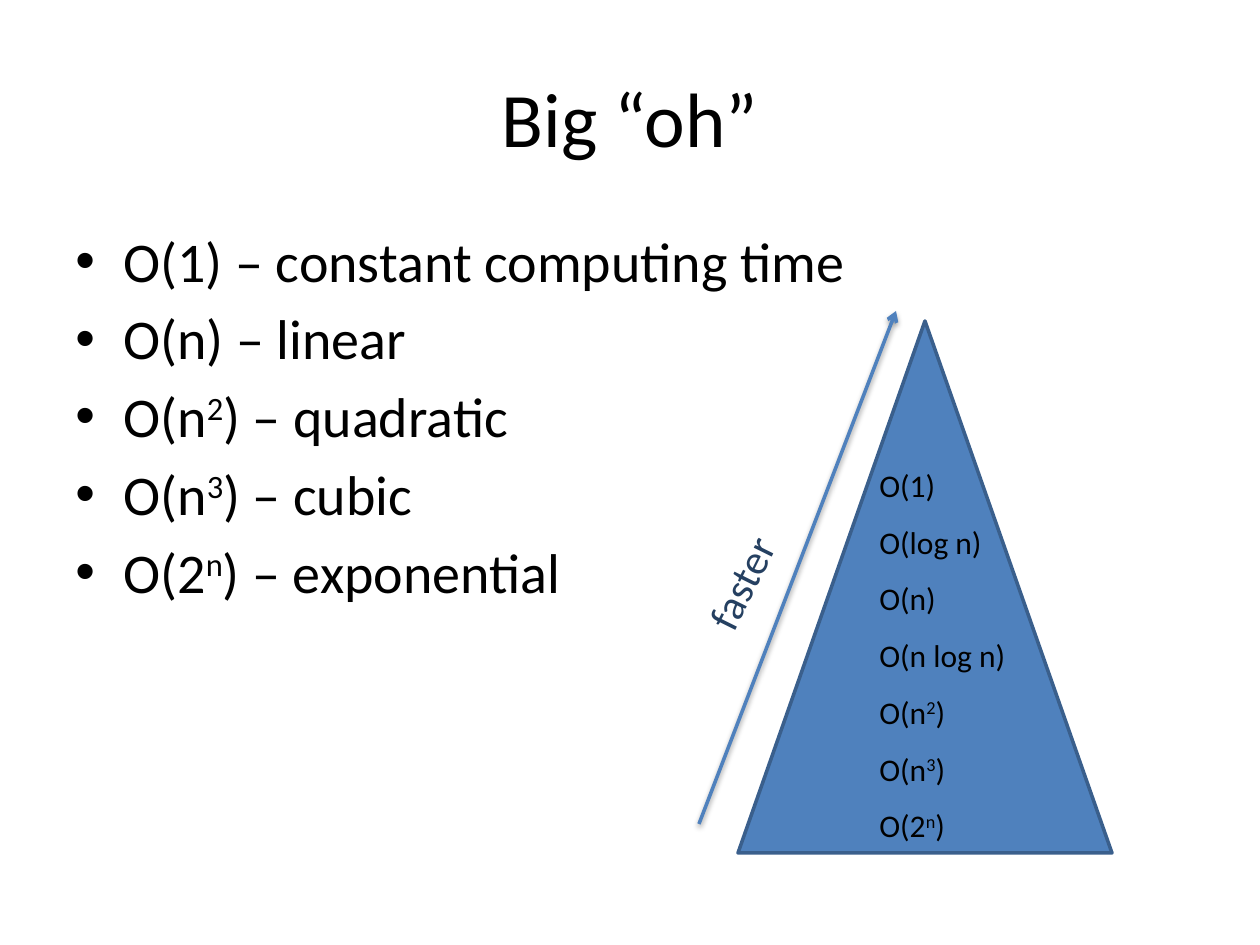
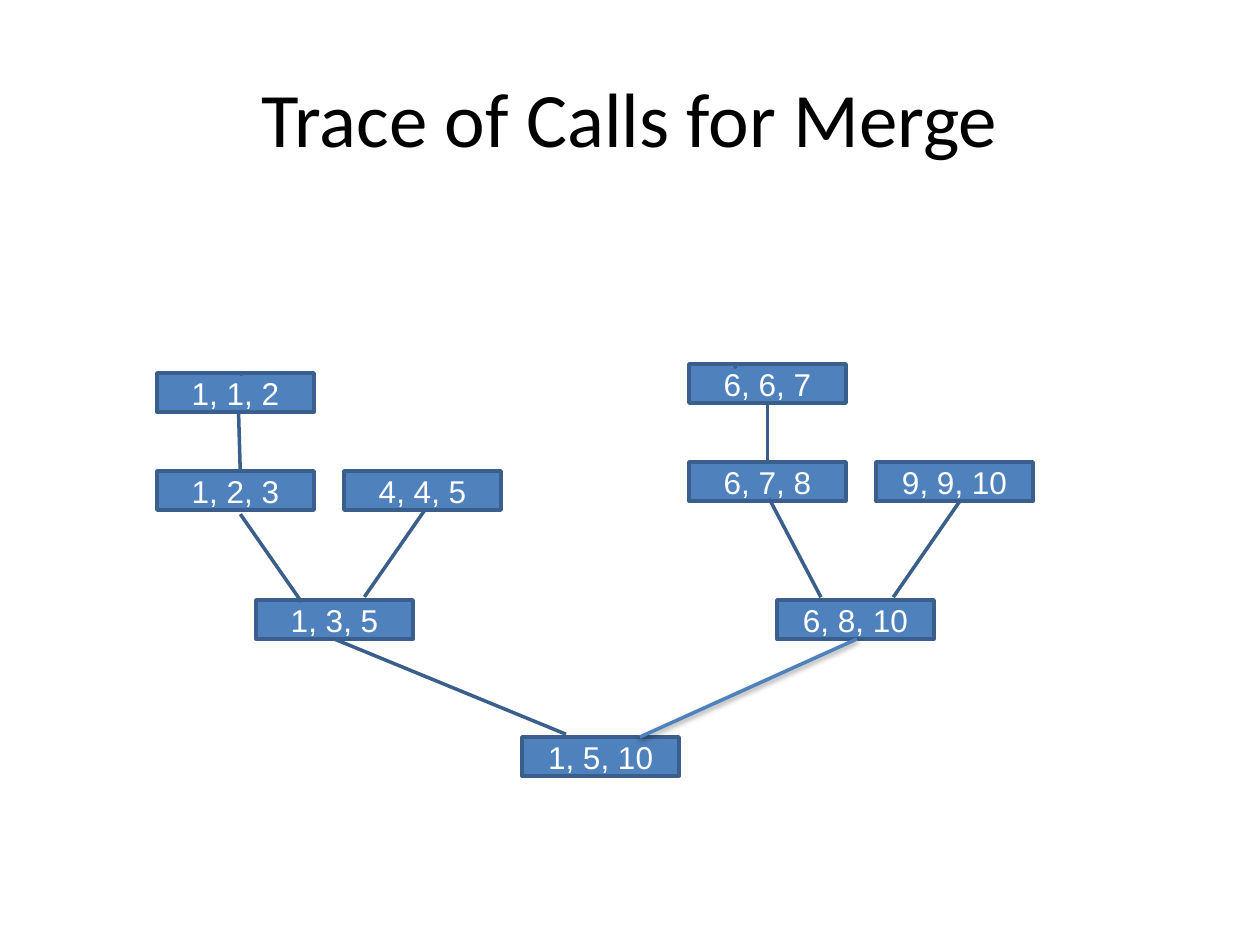
from pptx import Presentation
from pptx import util as u
from pptx.dml.color import RGBColor
from pptx.enum import shapes, text
from pptx.oxml.ns import qn
from lxml import etree

PX = 914400 / 126  # EMU in one px
BLUE, EDGE, NAVY = "4F81BD", "3A5F8C", "254061"
BLACK, WHITE = "000000", "FFFFFF"
BOX_W, BOX_H = 157, 39


def px(*lengths):
    return [u.Emu(round(n * PX)) for n in lengths]


def rgb(hex_color):
    return RGBColor.from_string(hex_color)


def style_font(font, size, color, name="Calibri"):
    font.size, font.name = u.Pt(size), name
    font.color.rgb = rgb(color)


def add_title_slide(prs, title):
    s = prs.slides.add_slide(prs.slide_layouts[5])
    sp = s.shapes.title
    sp.left, sp.top, sp.width, sp.height = px(63, 38, 1134, 157)
    tf = sp.text_frame
    tf.text = title
    tf.vertical_anchor = text.MSO_ANCHOR.MIDDLE
    p = tf.paragraphs[0]
    p.alignment = text.PP_ALIGN.CENTER
    style_font(p.runs[0].font, 44, BLACK)
    return s


def write_powers(p, line, size, color):
    """Write a line in which ^ raises the one character after it."""
    base, *powers = line.split("^")
    pieces = [(base, False)]
    for piece in powers:
        pieces += [(piece[0], True), (piece[1:], False)]
    for piece, raised in pieces:
        r = p.add_run()
        r.text = piece
        style_font(r.font, size, color)
        if raised:
            r._r.get_or_add_rPr().set("baseline", "30000")


def add_text(s, box, lines, size, color=BLACK, wrap=False, spacing=None):
    sp = s.shapes.add_textbox(*px(*box))
    tf = sp.text_frame
    tf.word_wrap = wrap
    for i, line in enumerate(lines):
        p = tf.add_paragraph() if i else tf.paragraphs[0]
        write_powers(p, line, size, color)
        if spacing:
            p.line_spacing = spacing
    return sp


def add_bullets(sp, indent, space_before):
    for p in sp.text_frame.paragraphs:
        p.space_before = u.Pt(space_before)
        pPr = p._p.get_or_add_pPr()
        pPr.set("marL", str(u.Inches(indent)))
        pPr.set("indent", str(-u.Inches(indent)))
        etree.SubElement(pPr, qn("a:buFont")).set("typeface", "Arial")
        etree.SubElement(pPr, qn("a:buChar")).set("char", "•")


def add_blue_shape(s, kind, box):
    sp = s.shapes.add_shape(kind, *px(*box))
    sp.shadow.inherit = False
    sp.fill.solid()
    sp.fill.fore_color.rgb = rgb(BLUE)
    sp.line.color.rgb = rgb(EDGE)
    sp.line.width = u.Pt(2)
    return sp


def add_call(s, left, top, label, leader):
    """Add a call box; leader holds y, x of both line ends as box fractions."""
    sp = add_blue_shape(s, shapes.MSO_SHAPE.LINE_CALLOUT_1, (left, top, BOX_W, BOX_H))
    for i, value in enumerate(leader):
        sp.adjustments[i] = value
    tf = sp.text_frame
    tf.text = label
    tf.vertical_anchor = text.MSO_ANCHOR.MIDDLE
    p = tf.paragraphs[0]
    p.alignment = text.PP_ALIGN.CENTER
    style_font(p.runs[0].font, 18, WHITE, "Arial")


def add_line(s, start, end, arrow=False):
    # The theme's soft shadow is kept on lines
    cn = s.shapes.add_connector(shapes.MSO_CONNECTOR.STRAIGHT, *px(*start, *end))
    cn.line.color.rgb = rgb(BLUE)
    cn.line.width = u.Pt(2)
    if arrow:
        ln = cn.line._get_or_add_ln()
        etree.SubElement(ln, qn("a:tailEnd")).set("type", "arrow")


def build_big_oh(prs):
    s = add_title_slide(prs, "Big “oh”")
    classes = ["O(1) – constant computing time", "O(n) – linear",
               "O(n^2) – quadratic", "O(n^3) – cubic", "O(2^n) – exponential"]
    body = add_text(s, (63, 220, 1134, 624), classes, 32, wrap=True)
    add_bullets(body, 0.38, 6)

    # Speed pyramid
    add_blue_shape(s, shapes.MSO_SHAPE.ISOSCELES_TRIANGLE, (738, 321, 374, 532))
    add_line(s, (699, 824), (896, 311), arrow=True)
    faster = add_text(s, (677, 547, 131, 63), ["faster"], 24, NAVY)
    faster.rotation = 296.4
    orders = ["O(1)", "O(log n)", "O(n)", "O(n log n)", "O(n^2)", "O(n^3)", "O(2^n)"]
    add_text(s, (867, 441, 166, 452), orders, 18, spacing=1.5)


def build_merge_trace(prs):
    s = add_title_slide(prs, "Trace of Calls for Merge")
    calls = [
        # Left half
        (157, 373, "1, 1, 2", (-0.03, 0.53, 0.07, 0.54)),
        (157, 471, "1, 2, 3", (-0.03, 0.53, -1.47, 0.52)),
        (344, 471, "4, 4, 5", (1.03, 0.51, 3.23, 0.13)),
        (256, 600, "1, 3, 5", (0.05, 0.29, -2.2, -0.1)),
        # Right half
        (689, 364, "6, 6, 7", (0.05, 0.29, 0.11, 0.3)),
        (689, 462, "6, 7, 8", (0.01, 0.5, -1.47, 0.5)),
        (876, 462, "9, 9, 10", (1.03, 0.53, 3.47, 0.11)),
        (777, 600, "6, 8, 10", (-0.07, 0.28, -2.6, -0.05)),
        # Whole range
        (522, 737, "1, 5, 10", (-0.07, 0.28, -2.52, -1.2)),
    ]
    for call in calls:
        add_call(s, *call)
    add_line(s, (640, 737), (857, 639))


def main():
    prs = Presentation()
    prs.slide_width, prs.slide_height = px(1260, 945)
    build_big_oh(prs)
    build_merge_trace(prs)
    prs.save("out.pptx")


if __name__ == "__main__":
    main()
